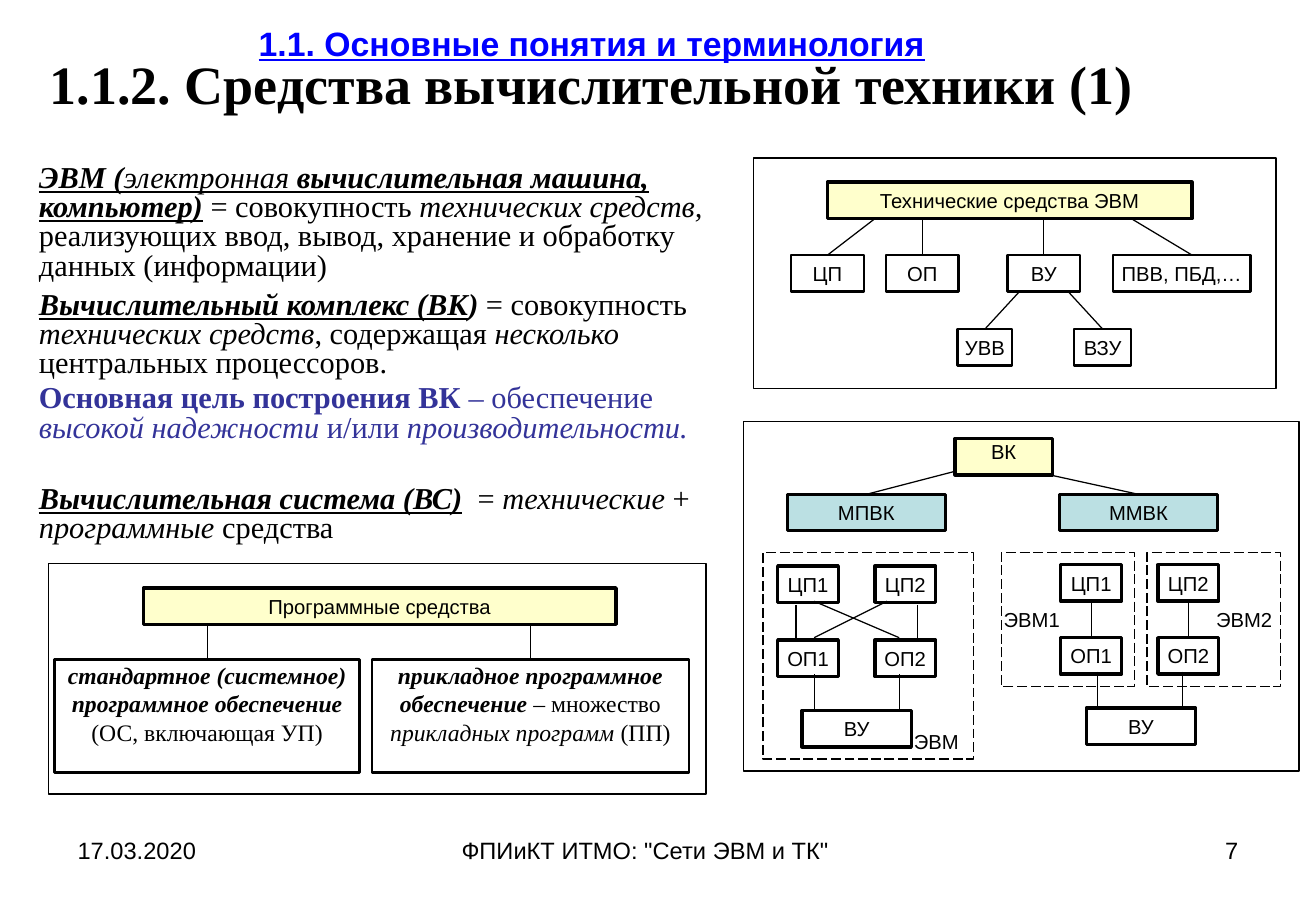
"""Build the slide on computing equipment with its three block diagrams."""
import lxml.etree
import pptx
import pptx.dml.color
import pptx.enum.dml
import pptx.enum.shapes
import pptx.enum.text
import pptx.oxml.ns
import pptx.util

Inches = pptx.util.Inches
Pt = pptx.util.Pt
ALIGN = pptx.enum.text.PP_ALIGN
ANCHOR = pptx.enum.text.MSO_ANCHOR
SERIF, SANS = "Times New Roman", "Arial"
COLORS = {"black": "000000", "white": "FFFFFF", "link": "0000FF", "goal": "333399",
          "root": "FFFFCC", "branch": "BBE0E3"}
TOP, BOTTOM = 0, 2
BOX = 0.3
DEFINITIONS = [
    (0, "black", [("ЭВМ (", "biu"), ("электронная ", "iu"),
                  ("вычислительная машина, компьютер)", "biu"), (" = совокупность ", ""),
                  ("технических средств, ", "i"),
                  ("реализующих ввод, вывод, хранение и обработку данных (информации)", "")]),
    (6, "black", [("Вычислительный комплекс (ВК", "biu"), (")", "bi"), (" = совокупность ", ""),
                  ("технических средств", "i"), (", содержащая ", ""), ("несколько", "i"),
                  (" центральных процессоров.", "")]),
    (3.6, "goal", [("Основная цель построения ВК", "b"), (" – обеспечение ", ""),
                   ("высокой надежности", "i"), (" и/или ", ""), ("производительности.", "i")]),
    (25, "black", [("Вычислительная система (ВС)", "biu"), ("  = ", ""), ("технические", "i"),
                   (" + ", ""), ("программные", "i"), (" средства", "")]),
]


def color(name):
    return pptx.dml.color.RGBColor.from_string(COLORS[name])


def set_font(font, name, size, shade="black"):
    font.name = name
    font.size = Pt(size)
    font.color.rgb = color(shade)


def add_runs(paragraph, runs):
    for text, style in runs:
        run = paragraph.add_run()
        run.text = text
        run.font.bold = "b" in style
        run.font.italic = "i" in style
        run.font.underline = "u" in style


def place(shape, left, top, width, height):
    shape.left, shape.top = Inches(left), Inches(top)
    shape.width, shape.height = Inches(width), Inches(height)


def set_insets(frame, left, top, right, bottom):
    frame.margin_left, frame.margin_top = Inches(left), Inches(top)
    frame.margin_right, frame.margin_bottom = Inches(right), Inches(bottom)


def add_box(slide, left, top, width, height=BOX, runs=(), fill=None, weight=1.0,
            dashed=False, anchor=ANCHOR.MIDDLE, align=ALIGN.CENTER,
            insets=(0.02, 0.01, 0.02, 0.01), font=(SANS, 12)):
    shape = slide.shapes.add_shape(pptx.enum.shapes.MSO_SHAPE.RECTANGLE, Inches(left),
                                   Inches(top), Inches(width), Inches(height))
    shape.shadow.inherit = False
    if fill:
        shape.fill.solid()
        shape.fill.fore_color.rgb = color(fill)
    else:
        shape.fill.background()
    shape.line.color.rgb = color("black")
    shape.line.width = Pt(weight)
    if dashed:
        shape.line.dash_style = pptx.enum.dml.MSO_LINE.LONG_DASH
    if runs:
        frame = shape.text_frame
        frame.word_wrap = True
        frame.vertical_anchor = anchor
        set_insets(frame, *insets)
        paragraph = frame.paragraphs[0]
        paragraph.alignment = align
        set_font(paragraph.font, *font)
        add_runs(paragraph, [(runs, "")] if isinstance(runs, str) else runs)
    return shape


def add_line(slide, start, end, bottom_of=None, top_of=None):
    line = slide.shapes.add_connector(pptx.enum.shapes.MSO_CONNECTOR.STRAIGHT,
                                      *map(Inches, start + end))
    line.line.color.rgb = color("black")
    line.line.width = Pt(0.75)
    lxml.etree.SubElement(line._element.spPr, pptx.oxml.ns.qn("a:effectLst"))
    if bottom_of is not None:
        line.begin_connect(bottom_of, BOTTOM)
    if top_of is not None:
        line.end_connect(top_of, TOP)


def add_footer(slide, left, width, text, align=ALIGN.LEFT):
    box = slide.shapes.add_textbox(Inches(left), Inches(6.83), Inches(width), Inches(0.52))
    box.text_frame.word_wrap = True
    paragraph = box.text_frame.paragraphs[0]
    paragraph.alignment = align
    set_font(paragraph.font, SANS, 14)
    add_runs(paragraph, [(text, "")])


def fill_title(title):
    place(title, 0.14, 0.13, 9.46, 0.94)
    frame = title.text_frame
    frame.auto_size = pptx.enum.text.MSO_AUTO_SIZE.NONE
    frame.vertical_anchor = ANCHOR.MIDDLE
    paragraph = frame.paragraphs[0]
    paragraph.alignment = ALIGN.CENTER
    paragraph.line_spacing = 0.8
    add_runs(paragraph, [("1.1. Основные понятия и терминология", "bu")])
    paragraph.add_line_break()
    add_runs(paragraph, [("1.1.2. Средства вычислительной техники (1)", "b")])
    section, topic = paragraph.runs
    set_font(section.font, SANS, 20, "link")
    set_font(topic.font, SERIF, 32)


def fill_definitions(body):
    place(body, 0.22, 1.31, 5.83, 3.23)
    frame = body.text_frame
    frame.auto_size = pptx.enum.text.MSO_AUTO_SIZE.NONE
    for index, (space, shade, runs) in enumerate(DEFINITIONS):
        paragraph = frame.add_paragraph() if index else frame.paragraphs[0]
        paragraph.line_spacing = 0.8
        paragraph.space_before = Pt(space)
        properties = paragraph._p.get_or_add_pPr()
        properties.set("marL", "0")
        properties.set("indent", "0")
        lxml.etree.SubElement(properties, pptx.oxml.ns.qn("a:buNone"))
        set_font(paragraph.font, SERIF, 18, shade)
        add_runs(paragraph, runs)


def add_hardware(slide):
    add_box(slide, 6.2, 1.3, 4.3, 1.9, fill="white")
    add_box(slide, 6.81, 1.5, 3, runs="Технические средства ЭВМ", fill="root", weight=2)
    for left, width, text, start in [(6.51, 0.6, "ЦП", 7.2), (7.29, 0.6, "ОП", 7.59),
                                     (8.29, 0.6, "ВУ", 8.59)]:
        unit = add_box(slide, left, 2.1, width, runs=text, weight=1.5)
        add_line(slide, (start, 1.8), (left + width / 2, 2.1), top_of=unit)
    add_box(slide, 9.16, 2.1, 1.13, runs="ПВВ, ПБД,…", weight=1.5)
    add_line(slide, (9.31, 1.8), (9.81, 2.1))
    for left, width, text, start in [(7.88, 0.45, "УВВ", 8.39), (8.84, 0.47, "ВЗУ", 8.79)]:
        device = add_box(slide, left, 2.71, width, runs=text, weight=1.25)
        add_line(slide, (start, 2.4), (left + width / 2, 2.71), top_of=device)


def add_processors(slide, left, top, memory_top):
    return [[add_box(slide, left + 0.8 * index, row, 0.5, runs=f"{name}{index + 1}", weight=2)
             for index in range(2)] for name, row in [("ЦП", top), ("ОП", memory_top)]]


def add_complexes(slide):
    add_box(slide, 6.12, 3.47, 4.57, 2.88)
    add_box(slide, 7.86, 3.61, 0.8, runs="ВК", fill="root", weight=2, anchor=ANCHOR.TOP)
    for left, text, start in [(6.48, "МПВК", (7.86, 3.88)), (8.72, "ММВК", (8.64, 3.91))]:
        kind = add_box(slide, left, 4.07, 1.3, runs=text, fill="branch", weight=1.5)
        add_line(slide, start, (left + 0.65, 4.07), top_of=kind)

    add_processors(slide, 6.4, 4.66, 5.27)
    add_box(slide, 6.6, 5.85, 0.9, runs="ВУ", weight=2)
    for x in (6.55, 7.55):
        add_line(slide, (x, 4.98), (x, 5.28))
    add_line(slide, (6.7, 4.95), (7.4, 5.25))
    add_line(slide, (7.3, 4.95), (6.7, 5.25))
    add_box(slide, 6.28, 4.55, 1.73, 1.7, "ЭВМ", weight=0.75, dashed=True,
            anchor=ANCHOR.BOTTOM, align=ALIGN.LEFT, insets=(1.24, 0.05, 0.02, 0.05))

    processors, memories = add_processors(slide, 8.73, 4.65, 5.25)
    add_box(slide, 8.94, 5.83, 0.9, runs="ВУ", weight=2)
    for processor, memory in zip(processors, memories):
        add_line(slide, (9, 4.95), (9, 5.25), bottom_of=processor, top_of=memory)
    for x, top in [(6.7, 5.55), (7.4, 5.55), (9.03, 5.53), (9.73, 5.53)]:
        add_line(slide, (x, top), (x, top + 0.3))
    for left, text, align in [(8.24, "ЭВМ1", ALIGN.LEFT), (9.44, "ЭВМ2", ALIGN.RIGHT)]:
        add_box(slide, left, 4.55, 1.1, 1.1, text, weight=0.75, dashed=True, align=align,
                insets=(0.02, 0.05, 0.07, 0.05))


def add_software(slide):
    add_box(slide, 0.4, 4.64, 5.41, 1.9, fill="white")
    add_box(slide, 1.18, 4.84, 3.89, runs="Программные средства", fill="root", weight=2)
    system = [("стандартное (системное) программное обеспечение ", "bi"),
              ("(ОС, включающая УП)", "")]
    applied = [("прикладное программное обеспечение", "bi"), (" – множество ", ""),
               ("прикладных программ", "i"), (" (ПП)", "")]
    for left, width, runs in [(0.45, 2.51, system), (3.06, 2.61, applied)]:
        part = add_box(slide, left, 5.43, width, 0.93, runs, weight=1.5, anchor=ANCHOR.TOP,
                       font=(SERIF, 14))
        middle = left + width / 2
        add_line(slide, (middle, 5.14), (middle, 5.43), top_of=part)


def main():
    presentation = pptx.Presentation()
    presentation.slide_width, presentation.slide_height = Inches(10.83), Inches(7.5)
    slide = presentation.slides.add_slide(presentation.slide_layouts[1])
    fill_title(slide.shapes.title)
    fill_definitions(slide.placeholders[1])
    add_hardware(slide)
    add_complexes(slide)
    add_software(slide)
    add_footer(slide, 0.54, 2.53, "17.03.2020")
    add_footer(slide, 3.7, 3.43, 'ФПИиКТ ИТМО: "Сети ЭВМ и ТК"')
    add_footer(slide, 7.76, 2.53, "7", ALIGN.RIGHT)
    presentation.save("out.pptx")


if __name__ == "__main__":
    main()
